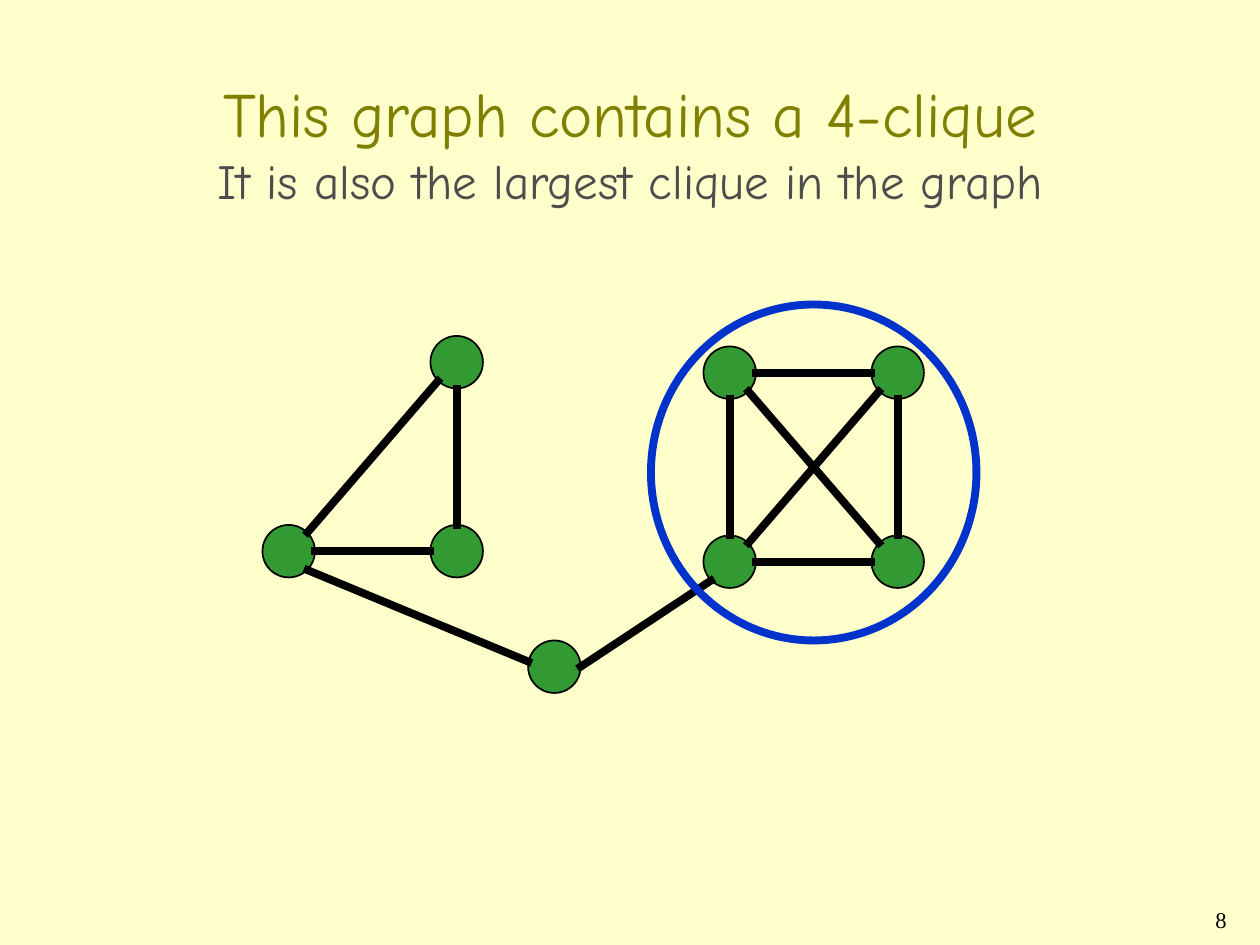
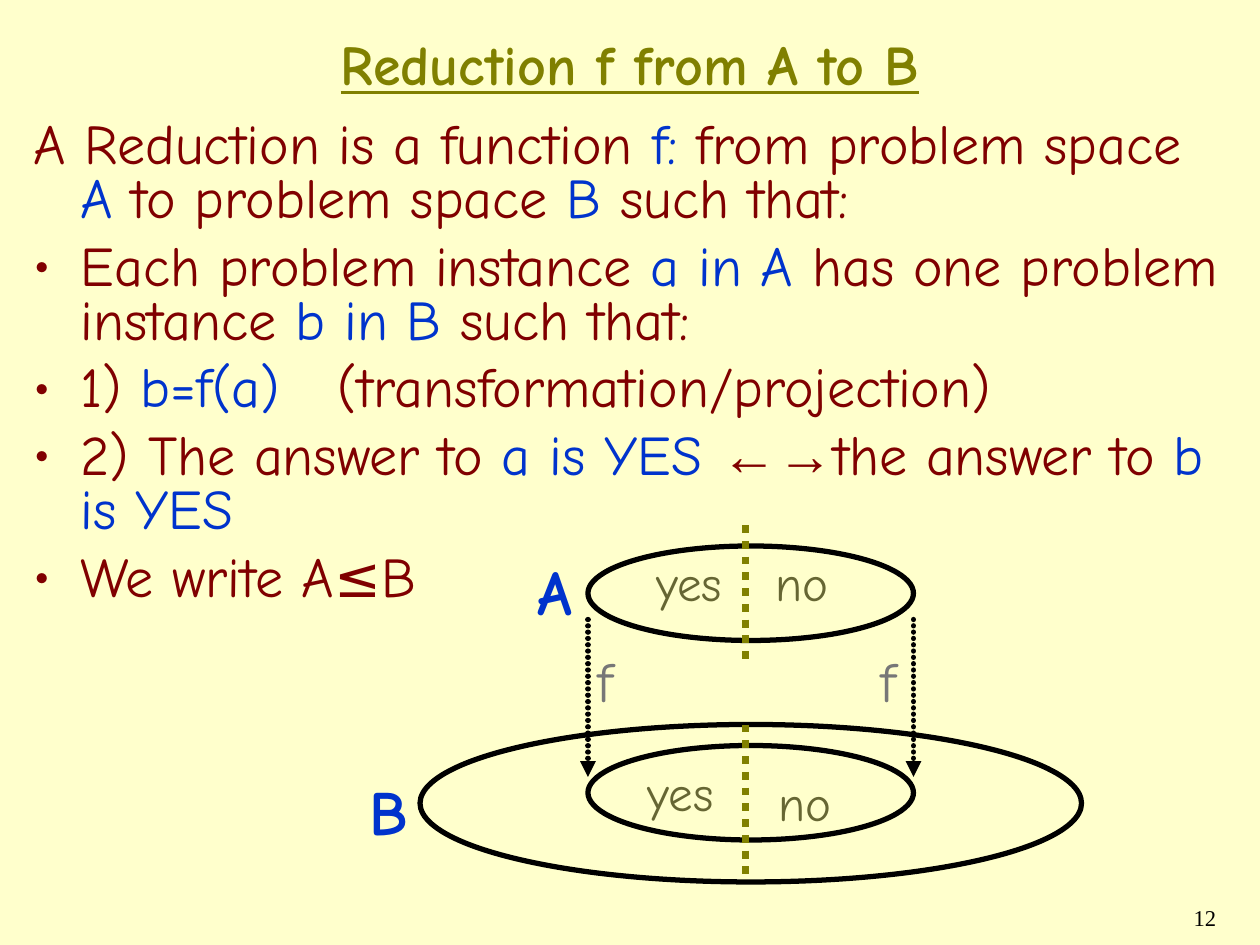
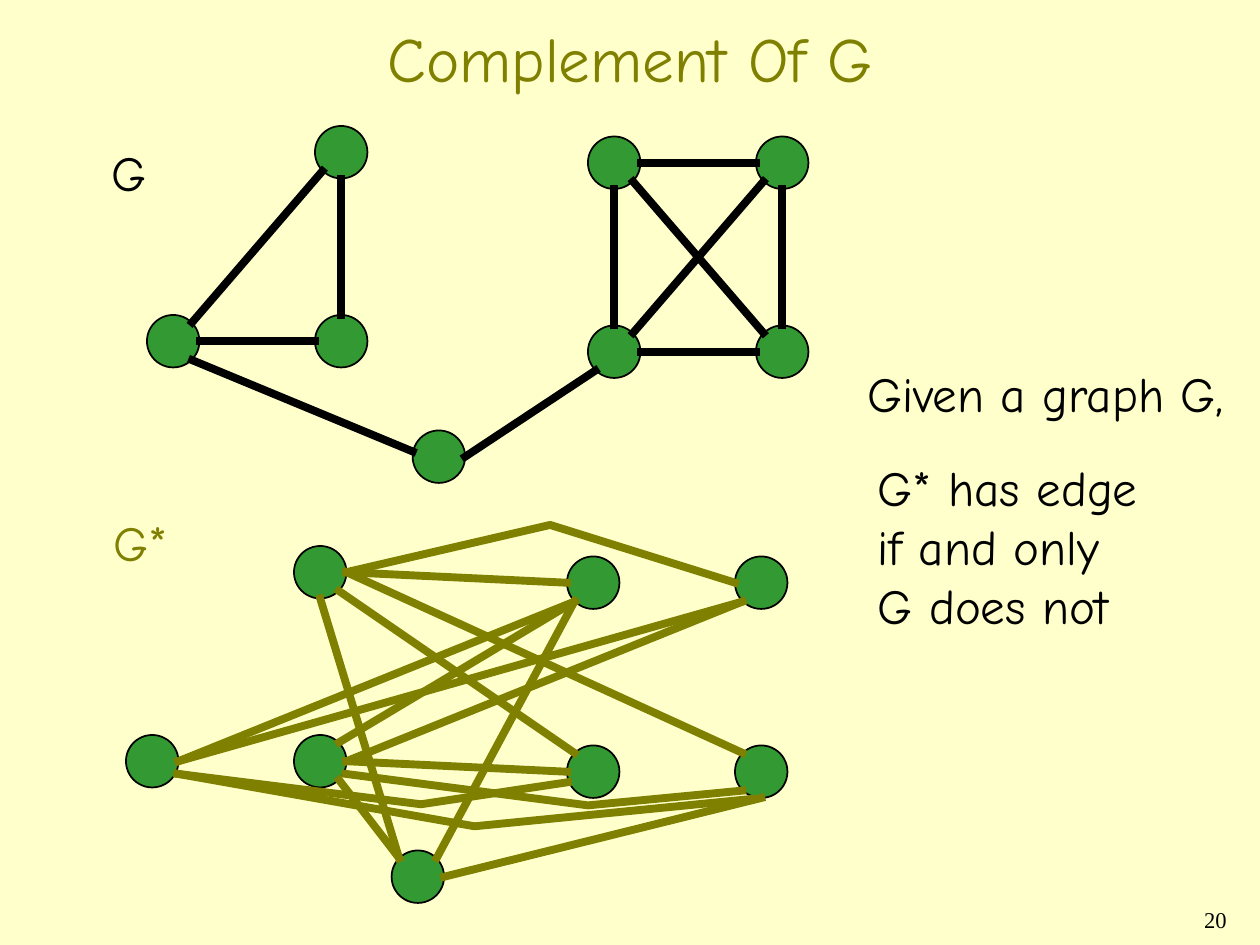
"""Build three slides on cliques, reductions and graph complements."""
from typing import NamedTuple

from lxml import etree
from pptx import Presentation
from pptx.dml.color import RGBColor
from pptx.enum.dml import MSO_LINE
from pptx.enum.shapes import MSO_CONNECTOR, MSO_SHAPE
from pptx.enum.text import MSO_ANCHOR, MSO_AUTO_SIZE, PP_ALIGN
from pptx.oxml.ns import qn
from pptx.presentation import Presentation as Deck
from pptx.shapes.autoshape import Shape
from pptx.shapes.shapetree import GroupShapes, SlideShapes
from pptx.slide import Slide
from pptx.text.text import Font, _Paragraph
from pptx.util import Pt

PX = 7620
CREAM, BLACK, OLIVE, GREEN = "FFFFCC", "000000", "808000", "339933"
BLUE, MAROON, DARK_GRAY, MID_GRAY, MOSS = "0033CC", "800000", "4D4D4D", "777777", "666633"
COMIC, ARIAL, TIMES = "Comic Neue", "Arial", "Times New Roman"
LEFT, CENTER, RIGHT = PP_ALIGN.LEFT, PP_ALIGN.CENTER, PP_ALIGN.RIGHT
MIDDLE = MSO_ANCHOR.MIDDLE
DOTTED = MSO_LINE.ROUND_DOT
OVAL = MSO_SHAPE.OVAL
STRAIGHT = MSO_CONNECTOR.STRAIGHT
FIT_SHAPE, NO_FIT = MSO_AUTO_SIZE.SHAPE_TO_FIT_TEXT, MSO_AUTO_SIZE.NONE
SQUARE_CAP, ROUND_CAP = "sq", "rnd"
TITLE_ONLY = 5
NODE_SIZE = 50
BODY_INDENT = 45

Point = tuple[int, int]
Shapes = SlideShapes | GroupShapes


class Box(NamedTuple):
    left: int
    top: int
    width: int
    height: int


class Stroke(NamedTuple):
    color: str
    width: float
    dotted: bool = False
    cap: str | None = None
    beaded_arrow: bool = False


class Run(NamedTuple):
    text: str
    color: str
    size: float = 32
    font: str = COMIC


class Label(NamedTuple):
    lines: tuple[str, ...]
    box: Box
    color: str
    size: float = 28
    bold: bool = False
    side_inset: int = 12


class Edge(NamedTuple):
    start: str
    start_site: str
    end: str
    end_site: str
    via: Point | None = None


NODES: dict[str, Point] = {
    "upper right": (420, 10), "lower right": (420, 190),
    "far lower": (580, 190), "far upper": (580, 10),
    "bottom": (253, 290), "left": (0, 180), "middle": (160, 180), "top": (160, 0),
}
SITES: dict[str, Point] = {
    "N": (25, 0), "NE": (43, 7), "E": (50, 25), "ESE": (49, 37), "SE": (43, 43),
    "S": (25, 50), "SSW": (16, 51), "SW": (7, 43), "WSW": (1, 35), "W": (0, 25),
    "WNW": (0, 20), "NW": (7, 7),
}
GRAPH_EDGES = (
    Edge("upper right", "E", "far upper", "W"),
    Edge("upper right", "S", "lower right", "N"),
    Edge("far upper", "S", "far lower", "N"),
    Edge("lower right", "E", "far lower", "W"),
    Edge("far upper", "SW", "lower right", "NE"),
    Edge("upper right", "SE", "far lower", "NW"),
    Edge("bottom", "WNW", "left", "SE"),
    Edge("top", "S", "middle", "N"),
    Edge("left", "E", "middle", "W"),
    Edge("top", "SW", "left", "NE"),
    Edge("bottom", "E", "lower right", "SW"),
)
COMPLEMENT_EDGES = (
    Edge("middle", "E", "lower right", "W"),
    Edge("top", "E", "upper right", "W"),
    Edge("bottom", "NE", "upper right", "SW"),
    Edge("middle", "NE", "upper right", "SW"),
    Edge("left", "E", "upper right", "SW"),
    Edge("top", "SE", "lower right", "NW"),
    Edge("top", "S", "bottom", "NW"),
    Edge("middle", "E", "far upper", "SW"),
    Edge("middle", "SE", "bottom", "NW"),
    Edge("left", "E", "far upper", "SW"),
    Edge("top", "E", "far lower", "NW"),
    Edge("top", "E", "far upper", "W", (404, -20)),
    Edge("left", "ESE", "lower right", "WSW", (281, 246)),
    Edge("left", "ESE", "far lower", "SSW", (332, 267)),
    Edge("middle", "ESE", "far lower", "SW", (440, 247)),
    Edge("bottom", "E", "far lower", "S"),
)
BODY = (
    (Run("A Reduction is a function ", MAROON), Run("f:", BLUE),
     Run(" from problem space ", MAROON), Run("A", BLUE),
     Run(" to problem space ", MAROON), Run("B", BLUE), Run(" such that:", MAROON)),
    (Run("Each problem instance ", MAROON), Run("a in A", BLUE),
     Run(" has one problem instance ", MAROON), Run("b in B", BLUE),
     Run(" such that:", MAROON)),
    (Run("1) ", MAROON), Run("b=f(a)", BLUE), Run("\t(transformation/projection)", MAROON)),
    (Run("2) The answer to ", MAROON), Run("a is YES ", BLUE),
     Run("←→", MAROON, font=ARIAL), Run("the answer to ", MAROON), Run("b is YES", BLUE)),
    (Run("We write A≤B", MAROON),),
)
REDUCTION_LABELS = (
    Label(("yes",), Box(613, 520, 100, 68), MOSS),
    Label(("yes",), Box(605, 720, 100, 68), MOSS),
    Label(("no",), Box(727, 520, 100, 68), MOSS),
    Label(("no",), Box(730, 730, 100, 68), MOSS),
    Label(("A",), Box(500, 520, 56, 84), BLUE, 36, True),
    Label(("B",), Box(340, 730, 56, 84), BLUE, 36, True),
    Label(("f",), Box(557, 610, 50, 77), MID_GRAY, 32),
    Label(("f",), Box(827, 610, 50, 77), MID_GRAY, 32),
)
COMPLEMENT_LABELS = (
    Label(("G*",), Box(72, 482, 140, 68), OLIVE, side_inset=36),
    Label(("G",), Box(70, 130, 120, 68), BLACK, side_inset=36),
    Label(("Given a graph G,",), Box(790, 340, 450, 68), BLACK, side_inset=36),
    Label(("G* has edge", "if and only", "G does not"), Box(800, 430, 400, 180), BLACK,
          side_inset=36),
)


def rgb(color: str) -> RGBColor:
    """Turn a hex string into a colour."""
    return RGBColor.from_string(color)


def emu(box: Box | Point) -> list[int]:
    """Scale px lengths to EMU."""
    return [length * PX for length in box]


def shift(*points: Point) -> Point:
    """Add points together."""
    return sum(x for x, _ in points), sum(y for _, y in points)


def set_font(font: Font, color: str, size: float, name: str = COMIC, bold: bool = False) -> None:
    """Set the face, size, weight and colour of a font."""
    font.name, font.size, font.bold = name, Pt(size), bold
    font.color.rgb = rgb(color)


def set_stroke(shape: Shape, stroke: Stroke) -> None:
    """Apply a stroke to the line of a shape."""
    shape.line.color.rgb = rgb(stroke.color)
    shape.line.width = Pt(stroke.width)
    if stroke.dotted:
        shape.line.dash_style = DOTTED
    line = shape.line._get_or_add_ln()
    if stroke.cap:
        line.set("cap", stroke.cap)
    if stroke.beaded_arrow:
        dashes = etree.SubElement(line, qn("a:custDash"))
        etree.SubElement(dashes, qn("a:ds"), d="100000", sp="20000")
        etree.SubElement(line, qn("a:tailEnd"), type="triangle")


def draw_line(shapes: Shapes, start: Point, end: Point, stroke: Stroke) -> None:
    """Draw a straight connector without a shadow."""
    connector = shapes.add_connector(STRAIGHT, *emu(start), *emu(end))
    set_stroke(connector, stroke)
    etree.SubElement(connector._element.spPr, qn("a:effectLst"))


def draw_oval(shapes: Shapes, box: Box, stroke: Stroke, fill: str | None = None) -> None:
    """Draw an ellipse, filled or open."""
    oval = shapes.add_shape(OVAL, *emu(box))
    oval.shadow.inherit = False
    if fill:
        oval.fill.solid()
        oval.fill.fore_color.rgb = rgb(fill)
    else:
        oval.fill.background()
    set_stroke(oval, stroke)


def draw_bent_line(shapes: Shapes, points: list[Point], stroke: Stroke) -> None:
    """Draw an open line through the points."""
    builder = shapes.build_freeform(*points[0], scale=PX)
    builder.add_line_segments(points[1:], close=False)
    bent_line = builder.convert_to_shape()
    bent_line.shadow.inherit = False
    bent_line.fill.background()
    set_stroke(bent_line, stroke)


def draw_graph(shapes: Shapes, origin: Point, edges: tuple[Edge, ...], color: str) -> None:
    """Draw the eight nodes and the given edges."""
    stroke = Stroke(color, 4.5, cap=SQUARE_CAP)
    for offset in NODES.values():
        draw_oval(shapes, Box(*shift(origin, offset), NODE_SIZE, NODE_SIZE),
                  Stroke(BLACK, 1), GREEN)
    for edge in edges:
        start = shift(origin, NODES[edge.start], SITES[edge.start_site])
        end = shift(origin, NODES[edge.end], SITES[edge.end_site])
        if edge.via:
            draw_bent_line(shapes, [start, shift(origin, edge.via), end], stroke)
        else:
            draw_line(shapes, start, end, stroke)


def add_label(slide: Slide, label: Label, align: PP_ALIGN = LEFT, font: str = COMIC,
              line_spacing: float = 1.0) -> None:
    """Add a text box with one paragraph per line."""
    shape = slide.shapes.add_textbox(*emu(label.box))
    frame = shape.text_frame
    frame.margin_left = frame.margin_right = label.side_inset * PX
    frame.word_wrap = True
    frame.auto_size = FIT_SHAPE
    frame.text = "\n".join(label.lines)
    for paragraph in frame.paragraphs:
        paragraph.alignment = align
        paragraph.line_spacing = line_spacing
        set_font(paragraph.font, label.color, label.size, font, label.bold)


def add_runs(paragraph: _Paragraph, runs: tuple[Run, ...]) -> None:
    """Append formatted runs to a paragraph."""
    for part in runs:
        run = paragraph.add_run()
        run.text = part.text
        set_font(run.font, part.color, part.size, part.font)


def add_slide(presentation: Deck, number: str, number_at: Point, title_box: Box) -> Slide:
    """Add a title-only slide with its number and a placed title."""
    slide = presentation.slides.add_slide(presentation.slide_layouts[TITLE_ONLY])
    add_label(slide, Label((number,), Box(*number_at, 250, 40), BLACK, 12.9),
              RIGHT, TIMES, 0.9)
    title = slide.shapes.title
    title.left, title.top, title.width, title.height = emu(title_box)
    title.text_frame.vertical_anchor = MIDDLE
    title.text_frame.auto_size = NO_FIT
    title.text_frame.paragraphs[0].alignment = CENTER
    return slide


def set_title(slide: Slide, text: str, size: float, emphasis: bool = False) -> None:
    """Write a one-line title."""
    paragraph = slide.shapes.title.text_frame.paragraphs[0]
    paragraph.text = text
    set_font(paragraph.font, OLIVE, size, bold=emphasis)
    paragraph.font.underline = emphasis


def format_body_paragraph(paragraph: _Paragraph, first: bool) -> None:
    """Give a body paragraph its hanging indent, spacing, bullet and tab."""
    paragraph.line_spacing = 0.8
    properties = paragraph._p.get_or_add_pPr()
    properties.set("marL", str(BODY_INDENT * PX))
    properties.set("indent", str(-BODY_INDENT * PX))
    if first:
        return
    paragraph.space_before = Pt(8)
    bullet_color = etree.SubElement(properties, qn("a:buClr"))
    etree.SubElement(bullet_color, qn("a:srgbClr"), val=MAROON)
    etree.SubElement(properties, qn("a:buFont"), typeface=COMIC)
    etree.SubElement(properties, qn("a:buChar"), char="•")
    tabs = etree.SubElement(properties, qn("a:tabLst"))
    etree.SubElement(tabs, qn("a:tab"), pos=str(290 * PX), algn="l")


def add_body(slide: Slide) -> None:
    """Add the definition of a reduction."""
    frame = slide.shapes.add_textbox(*emu(Box(20, 110, 1160, 520))).text_frame
    frame.word_wrap = True
    for index, runs in enumerate(BODY):
        paragraph = frame.add_paragraph() if index else frame.paragraphs[0]
        format_body_paragraph(paragraph, index == 0)
        add_runs(paragraph, runs)


def build_clique_slide(presentation: Deck) -> None:
    """Show the graph with its largest clique circled."""
    slide = add_slide(presentation, "8", (930, 860), Box(20, 20, 1160, 230))
    paragraph = slide.shapes.title.text_frame.paragraphs[0]
    add_runs(paragraph, (Run("This graph contains a 4-clique", OLIVE, 36),))
    paragraph.add_line_break()
    add_runs(paragraph, (Run("It is also the largest clique in the graph", DARK_GRAY, 28),))
    draw_graph(slide.shapes, (250, 320), GRAPH_EDGES, BLACK)
    draw_oval(slide.shapes, Box(620, 290, 310, 320), Stroke(BLUE, 4.5))


def build_reduction_slide(presentation: Deck) -> None:
    """Define a reduction and map problem A into problem B."""
    slide = add_slide(presentation, "12", (920, 858), Box(20, 20, 1160, 80))
    set_title(slide, "Reduction f from A to B", 32, emphasis=True)
    add_body(slide)
    for box in (Box(560, 520, 310, 90), Box(400, 690, 630, 150), Box(560, 710, 310, 90)):
        draw_oval(slide.shapes, box, Stroke(BLACK, 3))
    for x in (560, 870):
        draw_line(slide.shapes, (x, 590), (x, 740),
                  Stroke(BLACK, 3, cap=ROUND_CAP, beaded_arrow=True))
    for top, bottom in ((500, 630), (690, 840)):
        draw_line(slide.shapes, (710, top), (710, bottom), Stroke(OLIVE, 4.5, dotted=True))
    for label in REDUCTION_LABELS:
        add_label(slide, label)


def build_complement_slide(presentation: Deck) -> None:
    """Show the graph above its complement."""
    slide = add_slide(presentation, "20", (930, 860), Box(90, -20, 1020, 150))
    set_title(slide, "Complement Of G", 36)
    draw_graph(slide.shapes.add_group_shape().shapes, (120, 520), COMPLEMENT_EDGES, OLIVE)
    draw_graph(slide.shapes.add_group_shape().shapes, (140, 120), GRAPH_EDGES, BLACK)
    for label in COMPLEMENT_LABELS:
        add_label(slide, label)


def main() -> None:
    """Build and save the presentation."""
    presentation = Presentation()
    presentation.slide_width, presentation.slide_height = emu((1200, 900))
    background = presentation.slide_master.background.fill
    background.solid()
    background.fore_color.rgb = rgb(CREAM)
    build_clique_slide(presentation)
    build_reduction_slide(presentation)
    build_complement_slide(presentation)
    presentation.save("out.pptx")


if __name__ == "__main__":
    main()
